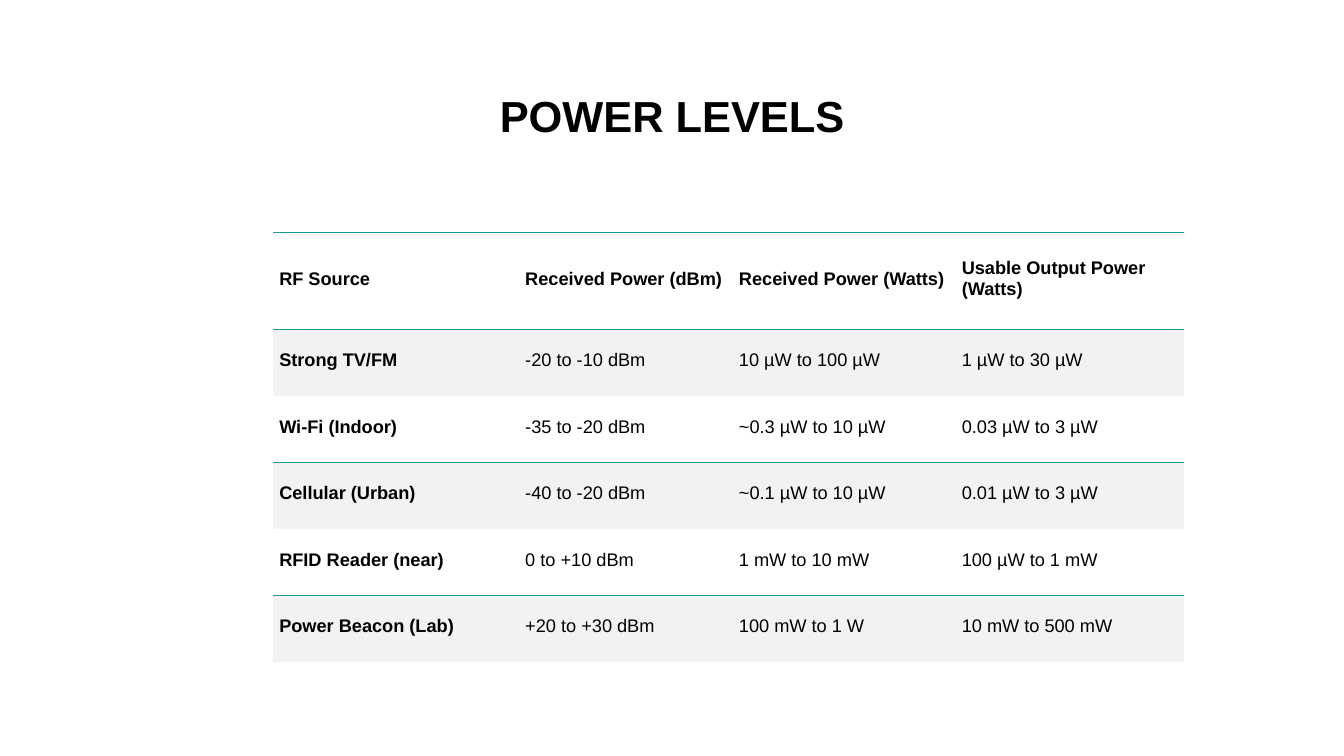
import pptx
import pptx.dml.color
import pptx.enum.text
import pptx.oxml
import pptx.oxml.ns
import pptx.util
from pptx.util import Inches

BLACK = pptx.dml.color.RGBColor(0x00, 0x00, 0x00)
TEAL = pptx.dml.color.RGBColor(0x16, 0x9C, 0x9A)
BAND_GRAY = pptx.dml.color.RGBColor(0xF2, 0xF2, 0xF2)

FONT = "Arial"
NO_STYLE_NO_GRID = "{2D5ABB26-0587-4C30-8999-92F81FD0307C}"
COLUMN_WIDTHS = [2.44, 2.12, 2.21, 2.26]
HEADER_HEIGHT = 0.96
ROW_HEIGHT = 0.66
POWER_ROWS = [
    ["RF Source", "Received Power (dBm)", "Received Power (Watts)", "Usable Output Power (Watts)"],
    ["Strong TV/FM", "-20 to -10 dBm", "10 µW to 100 µW", "1 µW to 30 µW"],
    ["Wi-Fi (Indoor)", "-35 to -20 dBm", "~0.3 µW to 10 µW", "0.03 µW to 3 µW"],
    ["Cellular (Urban)", "-40 to -20 dBm", "~0.1 µW to 10 µW", "0.01 µW to 3 µW"],
    ["RFID Reader (near)", "0 to +10 dBm", "1 mW to 10 mW", "100 µW to 1 mW"],
    ["Power Beacon (Lab)", "+20 to +30 dBm", "100 mW to 1 W", "10 mW to 500 mW"],
]


def style_font(paragraph, size, bold):
    paragraph.font.name = FONT
    paragraph.font.size = pptx.util.Pt(size)
    paragraph.font.bold = bold
    paragraph.font.color.rgb = BLACK


def add_title(page, text):
    box = page.shapes.add_textbox(Inches(3.07), Inches(0.39), Inches(7.19), Inches(1.07))
    frame = box.text_frame
    frame.word_wrap = True
    frame.vertical_anchor = pptx.enum.text.MSO_ANCHOR.BOTTOM
    paragraph = frame.paragraphs[0]
    paragraph.text = text
    paragraph.alignment = pptx.enum.text.PP_ALIGN.CENTER
    paragraph.line_spacing = 0.9
    style_font(paragraph, 31, True)


def add_border(cell, side):
    """Draw a teal line on one side of a cell: lnT is the top, lnB the bottom."""
    line = pptx.oxml.parse_xml(
        f'<a:{side} {pptx.oxml.ns.nsdecls("a")} w="{pptx.util.Pt(1)}">'
        f'<a:solidFill><a:srgbClr val="{TEAL}"/></a:solidFill></a:{side}>'
    )
    cell._tc.get_or_add_tcPr().append(line)


def fill_cell(cell, text, row, column):
    cell.margin_left = cell.margin_right = cell.margin_top = Inches(0.06)
    cell.margin_bottom = Inches(0.11)
    cell.vertical_anchor = pptx.enum.text.MSO_ANCHOR.MIDDLE
    cell.text = text
    style_font(cell.text_frame.paragraphs[0], 13, row == 0 or column == 0)
    if row == 0:
        add_border(cell, "lnT")
    if row % 2 == 0:
        add_border(cell, "lnB")
        cell.fill.background()
    else:
        cell.fill.solid()
        cell.fill.fore_color.rgb = BAND_GRAY


def add_power_table(page):
    height = HEADER_HEIGHT + ROW_HEIGHT * (len(POWER_ROWS) - 1)
    frame = page.shapes.add_table(
        len(POWER_ROWS), len(COLUMN_WIDTHS),
        Inches(2.71), Inches(2.31), Inches(sum(COLUMN_WIDTHS)), Inches(height),
    )
    table = frame.table
    table._tbl.tblPr.find(pptx.oxml.ns.qn("a:tableStyleId")).text = NO_STYLE_NO_GRID
    for column, width in zip(table.columns, COLUMN_WIDTHS):
        column.width = Inches(width)
    for row, texts in enumerate(POWER_ROWS):
        table.rows[row].height = Inches(ROW_HEIGHT if row else HEADER_HEIGHT)
        for column, text in enumerate(texts):
            fill_cell(table.cell(row, column), text, row, column)


def main():
    deck = pptx.Presentation()
    deck.slide_width = Inches(13.33)
    deck.slide_height = Inches(7.5)
    page = deck.slides.add_slide(deck.slide_layouts[6])
    add_title(page, "POWER LEVELS")
    add_power_table(page)
    deck.save("out.pptx")


if __name__ == "__main__":
    main()
